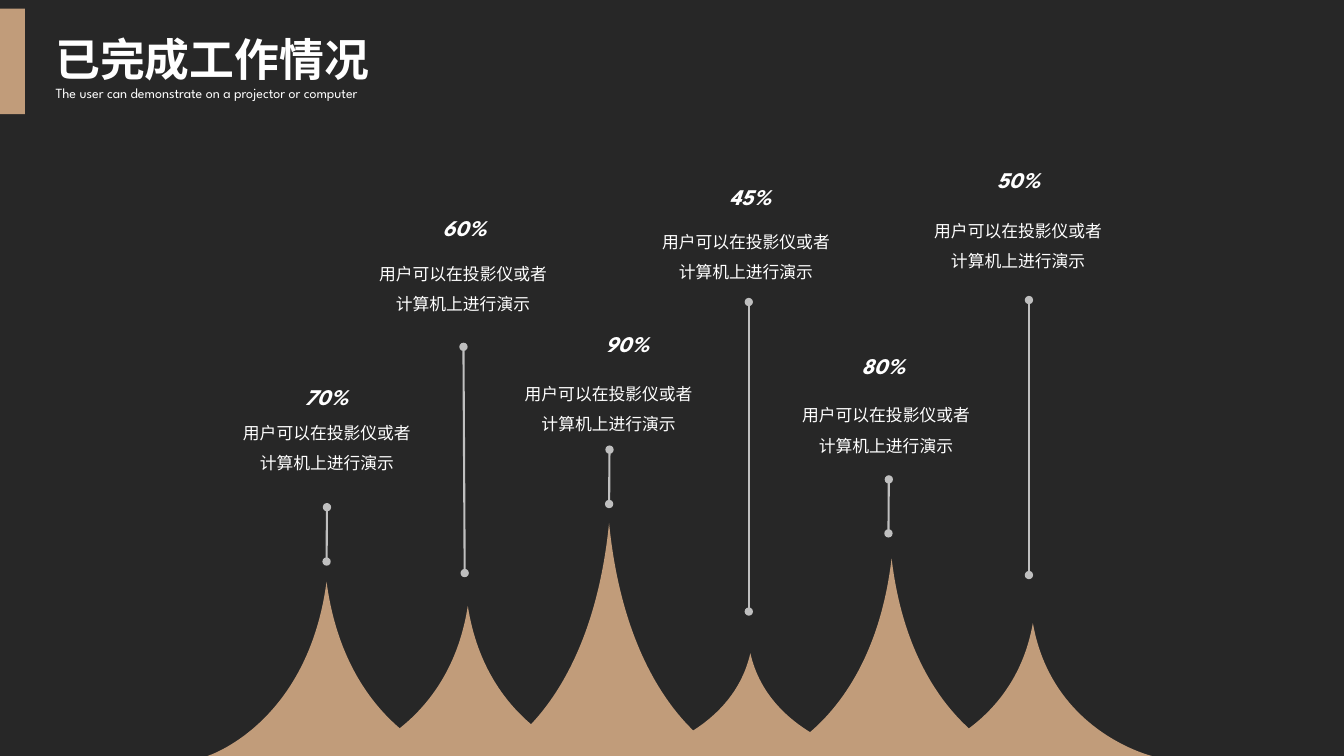
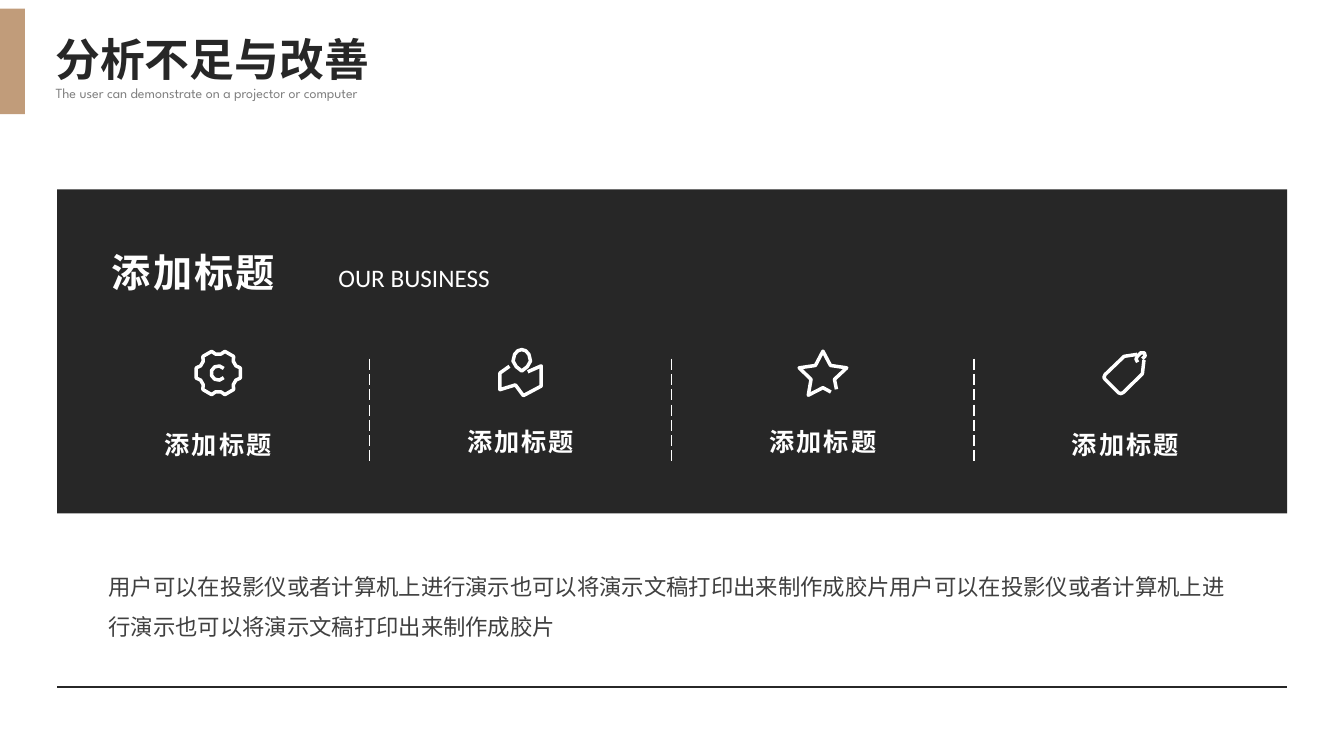
import math

import pptx
import pptx.util
import pptx.dml.color
import pptx.enum.dml
import pptx.enum.shapes
import pptx.enum.text
from lxml import etree
from pptx.oxml.ns import qn

Cm = pptx.util.Cm
ALIGN = pptx.enum.text.PP_ALIGN

# Shared look
TAN, DARK, WHITE = "C19C7A", "272727", "FFFFFF"
SILVER, GRAY, BODY = "BFBFBF", "808080", "404040"
HAN, LATIN = "Noto Sans CJK SC", "League Spartan"
SUBTITLE = "The user can demonstrate on a projector or computer"
PAGE_W, PAGE_H = 33.87, 19.05

# Slide 1: share, peak top, pin start and end, share position, note position
DEMO = "用户可以在投影仪或者计算机上进行演示"
PEAKS = [
    ("70%", 14.66, (8.24, 12.78), (8.23, 14.15), (7.16, 9.53), (5.75, 10.27)),
    ("60%", 15.27, (11.68, 8.74), (11.71, 14.44), (10.64, 5.28), (9.18, 6.26)),
    ("90%", 13.18, (15.36, 11.33), (15.35, 12.7), (14.74, 8.2), (12.85, 9.29)),
    ("45%", 16.46, (18.87, 7.61), (18.87, 15.41), (17.84, 4.48), (16.31, 5.46)),
    ("80%", 14.07, (22.4, 12.08), (22.39, 13.44), (21.19, 8.74), (19.84, 9.83)),
    ("50%", 15.7, (25.93, 7.56), (25.93, 14.49), (24.6, 4.06), (23.17, 5.18)),
]
PEAK_X, PEAK_STEP, PEAK_HALF = 8.23, 3.56, 3

# Slide 2
SUMMARY = (DEMO + "也可以将演示文稿打印出来制作成胶片") * 2
PANEL_X, PANEL_W = 1.44, 31
COL_X, COL_STEP, ICON_Y = 5.5, 7.62, 9.4


def polar(r, degrees):
    a = math.radians(degrees)
    return r * math.cos(a), r * math.sin(a)


# Icon strokes, in cm from the icon centre
NOTCH = [(-17, .57), (-8, .48), (8, .48), (17, .57)]
GEAR = [polar(r, 30 + 60 * k + d) for k in range(6) for d, r in NOTCH]
LETTER_C = [polar(.18, a) for a in range(40, 321, 40)]
DROP = [(0, -.05), (-.14, -.16), (-.22, -.3), (-.18, -.47), (-.1, -.56), (0, -.59)]
PIN = [(.03 + x, y) for x, y in DROP + [(-x, y) for x, y in DROP[-2:0:-1]]]
MAP = [(-.28, -.17), (-.52, 0), (-.52, .42), (-.13, .3), (.07, .57),
       (.52, .33), (.52, -.18), (.18, -.03)]
STAR = [(.2, .48), (0, .37), (-.37, .56), (-.3, .16), (-.6, -.13), (-.19, -.19),
        (0, -.55), (.19, -.19), (.6, -.13), (.29, .16), (.34, .41)]
TAG = [(.3, -.47), (-.03, -.42), (-.51, .04), (-.54, .11), (-.51, .16),
       (-.17, .5), (-.11, .52), (-.05, .49), (.43, .02), (.47, -.33)]
HOOK = [(.31, -.27), (.27, -.35), (.3, -.42), (.39, -.51), (.48, -.51),
        (.5, -.43), (.43, -.36)]
# Label, label top, strokes as (points, closed)
COLUMNS = [
    ("添加标题", 10.54, [(GEAR, True), (LETTER_C, False)]),
    ("添加标题", 10.46, [(MAP, False), (PIN, True)]),
    ("添加标题", 10.46, [(STAR, False)]),
    ("添加标题", 10.54, [(TAG, False), (HOOK, False)]),
]


def rgb(color):
    return pptx.dml.color.RGBColor.from_string(color)


def place(sp, x, y, w, h):
    sp.left, sp.top, sp.width, sp.height = Cm(x), Cm(y), Cm(w), Cm(h)


def paint(sp, color):
    sp.shadow.inherit = False
    sp.fill.solid()
    sp.fill.fore_color.rgb = rgb(color)
    sp.line.fill.background()


def write(sp, text, size, color, font="Arial", bold=False, italic=False,
          align=ALIGN.LEFT, spacing=1.0, tracking=0, wrap=True):
    tf = sp.text_frame
    tf.word_wrap = wrap
    tf.auto_size = pptx.enum.text.MSO_AUTO_SIZE.NONE
    tf.vertical_anchor = pptx.enum.text.MSO_ANCHOR.TOP
    p = tf.paragraphs[0]
    p.alignment, p.line_spacing = align, spacing
    r = p.add_run()
    r.text = text
    f = r.font
    f.size, f.bold, f.italic, f.name = pptx.util.Pt(size), bold, italic, font
    f.color.rgb = rgb(color)
    rpr = r._r.get_or_add_rPr()
    etree.SubElement(rpr, qn("a:ea")).set("typeface", HAN)
    if tracking:
        rpr.set("spc", str(int(tracking * 100)))


def add_text(s, box, text, size, color, **fmt):
    write(s.shapes.add_textbox(*map(Cm, box)), text, size, color, **fmt)


def add_rect(s, box, color):
    sp = s.shapes.add_shape(pptx.enum.shapes.MSO_SHAPE.RECTANGLE, *map(Cm, box))
    paint(sp, color)
    return sp


def add_outline(s, points, closed=True):
    pts = [(Cm(x), Cm(y)) for x, y in points]
    fb = s.shapes.build_freeform(*pts[0], scale=1.0)
    fb.add_line_segments(pts[1:], close=closed)
    return fb.convert_to_shape()


def add_stroke(s, points, closed, color):
    sp = add_outline(s, points, closed)
    sp.shadow.inherit = False
    sp.fill.background()
    sp.line.color.rgb = rgb(color)
    sp.line.width = pptx.util.Pt(2.5)


def add_peak(s, cx, top):
    """A tip with two mirrored Bezier flanks that stands on the page bottom."""
    right, tip, left = (cx + PEAK_HALF, PAGE_H), (cx, top), (cx - PEAK_HALF, PAGE_H)
    sp = add_outline(s, [right, tip, left])
    paint(sp, TAN)
    dx, y = .16 * PEAK_HALF, PAGE_H - .18 * (PAGE_H - top)
    flanks = [(right, (cx + dx, y), tip), ((cx - dx, y), left, left)]
    sides = list(sp._element.iter(qn("a:lnTo")))[:2]
    for side, flank in zip(sides, flanks):
        curve = etree.Element(qn("a:cubicBezTo"))
        for px, py in flank:
            pt = etree.SubElement(curve, qn("a:pt"))
            pt.set("x", str(Cm(px) - sp.left))
            pt.set("y", str(Cm(py) - sp.top))
        side.getparent().replace(side, curve)


def add_line(s, start, end, color, width, dash=None, dots=False):
    c = s.shapes.add_connector(pptx.enum.shapes.MSO_CONNECTOR.STRAIGHT,
                               *map(Cm, start + end))
    c.line.color.rgb = rgb(color)
    c.line.width = pptx.util.Pt(width)
    if dash:
        c.line.dash_style = dash
    if dots:
        for tag in ("a:headEnd", "a:tailEnd"):
            etree.SubElement(c.line._get_or_add_ln(), qn(tag)).set("type", "oval")
    etree.SubElement(c._element.spPr, qn("a:effectLst"))


def new_slide(prs, title, title_color, subtitle_color, backdrop=None):
    s = prs.slides.add_slide(prs.slide_layouts[5])
    if backdrop:
        sp = add_rect(s, (0, 0, PAGE_W, PAGE_H), backdrop)
        s.shapes.title._element.addprevious(sp._element)
    place(s.shapes.title, 1.14, .41, 10.13, 1.9)
    write(s.shapes.title, title, 32, title_color, font=HAN, bold=True, spacing=1.2)
    add_text(s, (1.15, 1.94, 13.18, .74), SUBTITLE, 10, subtitle_color,
             font=LATIN, spacing=1.14)
    add_rect(s, (0, .22, .63, 2.66), TAN)
    return s


def progress_slide(prs):
    s = new_slide(prs, "已完成工作情况", WHITE, WHITE, backdrop=DARK)
    for i, (share, top, start, end, share_at, note_at) in enumerate(PEAKS):
        add_peak(s, PEAK_X + i * PEAK_STEP, top)
        add_line(s, start, end, SILVER, 1.5, dots=True)
        add_text(s, share_at + (2.13, .94), share, 16, WHITE, font=LATIN,
                 bold=True, italic=True, align=ALIGN.CENTER, wrap=False)
        add_text(s, note_at + (4.98, 1.8), DEMO, 12, WHITE,
                 align=ALIGN.CENTER, spacing=1.5)


def analysis_slide(prs):
    s = new_slide(prs, "分析不足与改善", DARK, GRAY)
    # Panel with heading
    add_rect(s, (PANEL_X, 4.77, PANEL_W, 8.17), DARK)
    heading = dict(font="Calibri", bold=True, spacing=1.2, tracking=1.5)
    add_text(s, (2.57, 5.89, 5.97, 1.7), "添加标题", 28, WHITE, **heading)
    add_text(s, (8.28, 6.48, 4.37, 1.02), "OUR BUSINESS", 18, WHITE,
             font="Calibri", wrap=False)
    # Icon columns with dividers between them
    for i, (label, top, strokes) in enumerate(COLUMNS):
        cx = COL_X + i * COL_STEP
        for points, closed in strokes:
            add_stroke(s, [(cx + x, ICON_Y + y) for x, y in points], closed, WHITE)
        add_text(s, (cx - 2.21, top, 4.42, 1.17), label, 18, WHITE,
                 align=ALIGN.CENTER, **heading)
        if i:
            x = cx - COL_STEP / 2
            add_line(s, (x, 9.04), (x, 11.66), WHITE, 1,
                     dash=pptx.enum.dml.MSO_LINE.LONG_DASH)
    # Summary and closing rule
    add_text(s, (2.49, 13.97, 28.8, 3.33), SUMMARY, 16, BODY, spacing=1.5)
    add_line(s, (PANEL_X, 17.31), (PANEL_X + PANEL_W, 17.31), DARK, 1.75)


def main():
    prs = pptx.Presentation()
    prs.slide_width, prs.slide_height = Cm(PAGE_W), Cm(PAGE_H)
    progress_slide(prs)
    analysis_slide(prs)
    prs.save("out.pptx")


if __name__ == "__main__":
    main()
